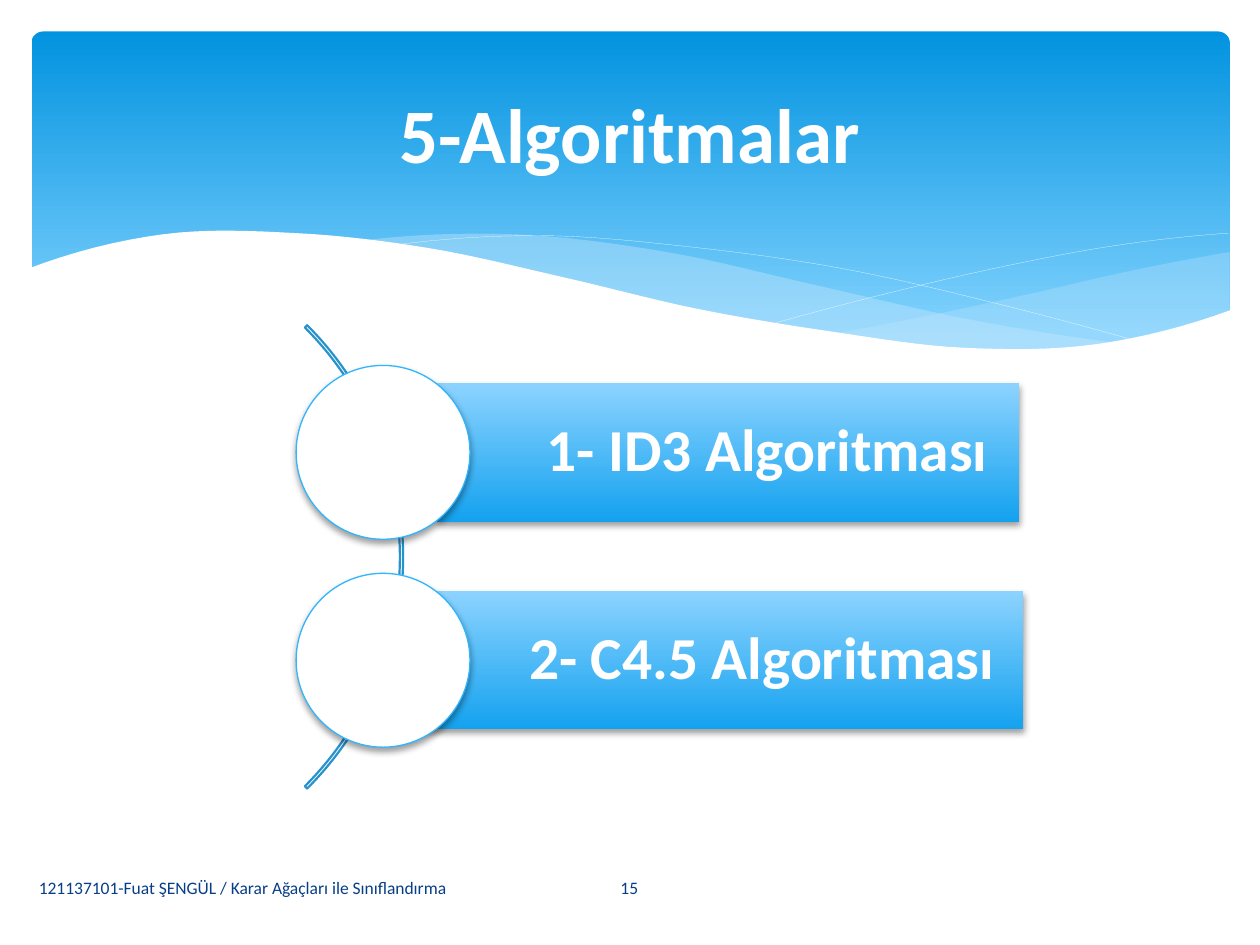
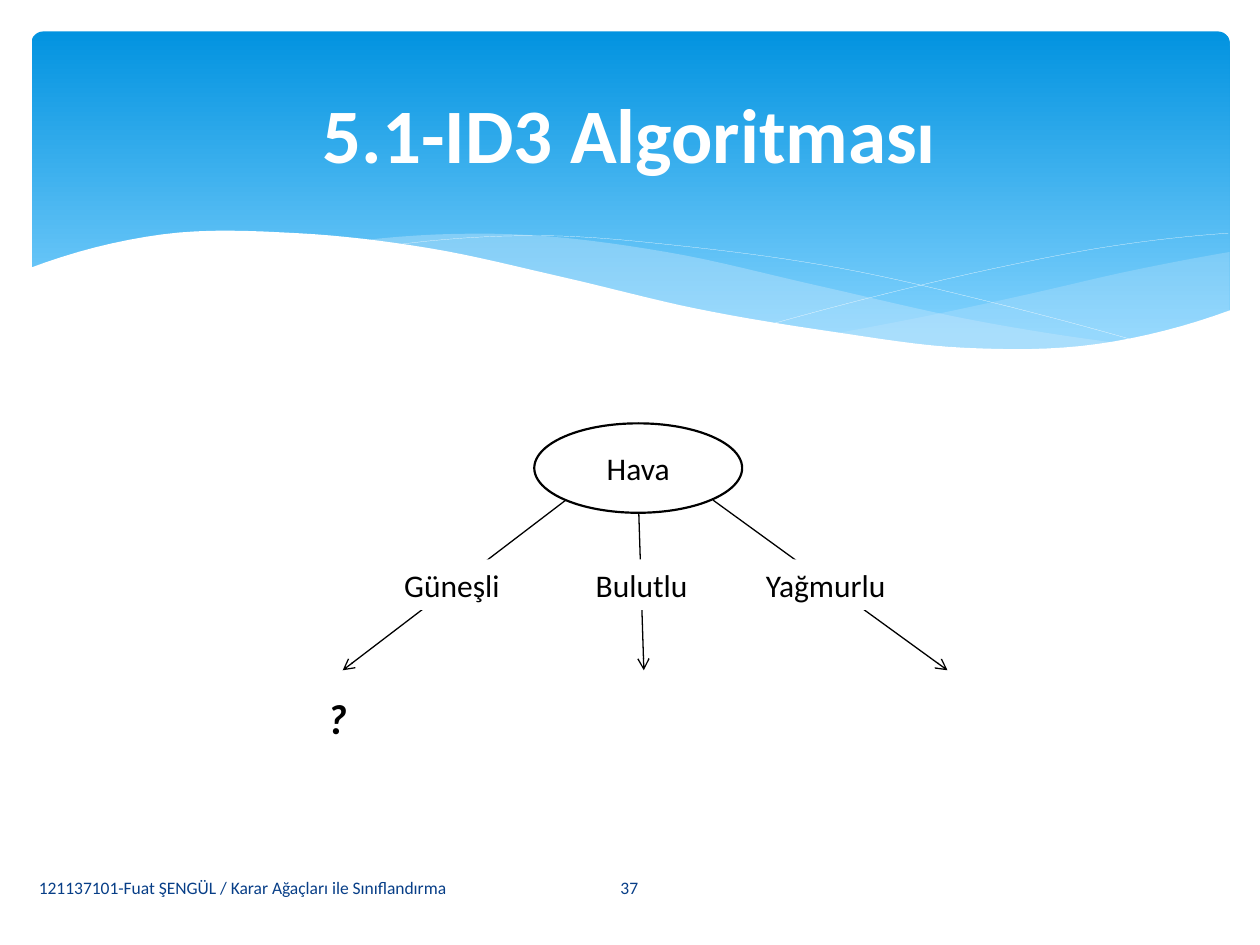
"""Build two slides on decision tree algorithms under a shared wave banner."""
from lxml import etree
from pptx import Presentation
from pptx.dml.color import RGBColor
from pptx.enum.shapes import MSO_CONNECTOR, MSO_SHAPE
from pptx.enum.text import MSO_ANCHOR, PP_ALIGN
from pptx.oxml.ns import qn
from pptx.util import Inches, Pt

RECT, ROUND_RECT = MSO_SHAPE.RECTANGLE, MSO_SHAPE.ROUNDED_RECTANGLE
OVAL, ARC = MSO_SHAPE.OVAL, MSO_SHAPE.BLOCK_ARC
STRAIGHT = MSO_CONNECTOR.STRAIGHT
LEFT, CENTER = PP_ALIGN.LEFT, PP_ALIGN.CENTER
TOP, MIDDLE = MSO_ANCHOR.TOP, MSO_ANCHOR.MIDDLE

WHITE = RGBColor(0xFF, 0xFF, 0xFF)
BLACK = RGBColor(0x00, 0x00, 0x00)
NAVY = RGBColor(0x07, 0x3E, 0x87)
PALE_BLUE = RGBColor(0xC6, 0xE7, 0xFC)
ARC_BLUE = RGBColor(0x27, 0x92, 0xCB)
RING_BLUE = RGBColor(0x31, 0xB6, 0xFD)
BANNER_STOPS = ((0, RGBColor(0x02, 0x93, 0xE0)), (0.9, RGBColor(0x83, 0xD3, 0xFE)))
CARD_STOPS = ((0, RGBColor(0x8C, 0xD3, 0xFF)), (1, RGBColor(0x14, 0xA2, 0xEF)))
FONT = "Calibri"

FOOTER = "121137101-Fuat ŞENGÜL / Karar Ağaçları ile Sınıflandırma"

ALGORITHMS_TITLE, ALGORITHMS_PAGE = "5-Algoritmalar", "15"
ALGORITHMS = [("1- ID3 Algoritması", 3.47, 4.62), ("2- C4.5 Algoritması", 3.33, 4.79)]
CARD_TOP, CARD_HEIGHT, CARD_STEP = 3.04, 1.1, 1.65
CIRCLE_LEFT, CIRCLE_SIZE = 2.35, 1.38
ARC_START, ARC_END, ARC_THICKNESS = 189, 27, 0.005

TREE_TITLE, TREE_PAGE = "5.1-ID3 Algoritması", "37"
ROOT, UNKNOWN = "Hava", "?"
BRANCHES = [
    ("Güneşli", (3.11, 0.98), (4.49, 3.97), (2.72, 5.32)),
    ("Bulutlu", (4.63, 0.96), (5.07, 4.07), (5.11, 5.32)),
    ("Yağmurlu", (5.98, 1.22), (5.66, 3.97), (7.52, 5.32)),
]
LABEL_TOP, LABEL_HEIGHT = 4.44, 0.4

CURVE_STEPS = 8
VEILS = [
    {"span": (6.61, 9.76), "alpha": 29,
     "upper": (2.65, 2.5, 2.33, 2.15, 2), "lower": (2.65, 2.74, 2.78, 2.7, 2.47)},
    {"span": (2.86, 8.93), "alpha": 40,
     "upper": (1.91, 1.86, 2, 2.27, 2.54, 2.73), "lower": (1.91, 2.12, 2.4, 2.64, 2.77, 2.73)},
]
STRANDS = [
    {"span": (3.09, 9.07), "heights": (1.95, 1.87, 1.96, 2.13, 2.4, 2.72)},
    {"span": (6.13, 9.75), "heights": (2.57, 2.33, 2.12, 1.95, 1.85)},
]
STRAND_WIDTH = 0.1
PAGE_EDGE = {"span": (0.23, 9.77), "bottom": 3.29,
             "heights": (2.13, 1.86, 1.85, 1.97, 2.2, 2.45, 2.63, 2.76, 2.73, 2.46)}


def curve(span, heights):
    """Return points of a Catmull-Rom curve through heights at equal gaps over span."""
    first, last = span
    gap = (last - first) / (len(heights) - 1)
    before = 3 * heights[0] - 3 * heights[1] + heights[2]
    after = 3 * heights[-1] - 3 * heights[-2] + heights[-3]
    knots = [before, *heights, after]
    points = []
    for index in range(len(heights) - 1):
        a, b, c, d = knots[index:index + 4]
        for step in range(CURVE_STEPS):
            t = step / CURVE_STEPS
            bend = (c - a) * t + (2*a - 5*b + 4*c - d) * t**2 + (3*b - a - 3*c + d) * t**3
            points.append((first + (index + t) * gap, b + bend / 2))
    return points + [(last, heights[-1])]


def paint(shape, fill=None, stops=None, line=None, width=0.75):
    """Give a shape a flat, gradient or empty fill, an outline and no shadow."""
    shape.shadow.inherit = False
    if stops:
        shape.fill.gradient()
        shape.fill.gradient_angle = 270
        for stop, (position, color) in zip(shape.fill.gradient_stops, stops):
            stop.position = position
            stop.color.rgb = color
    elif fill is not None:
        shape.fill.solid()
        shape.fill.fore_color.rgb = fill
    else:
        shape.fill.background()
    if line is not None:
        shape.line.color.rgb = line
        shape.line.width = Pt(width)
    else:
        shape.line.fill.background()


def add_figure(slide, preset, box, **look):
    """Add a preset shape at a box in inches."""
    figure = slide.shapes.add_shape(preset, *map(Inches, box))
    paint(figure, **look)
    return figure


def add_outline(slide, points, closed=True, **look):
    """Add a freeform through points in inches."""
    corners = [(Inches(x), Inches(y)) for x, y in points]
    builder = slide.shapes.build_freeform(*corners[0])
    builder.add_line_segments(corners[1:], close=closed)
    outline = builder.convert_to_shape()
    paint(outline, **look)
    return outline


def set_alpha(color, percent):
    """Make a colour element translucent."""
    etree.SubElement(color, qn("a:alpha"), val=str(percent * 1000))


def drop_shadow(shape):
    """Cast a soft shadow straight down."""
    effects = shape._element.spPr.find(qn("a:effectLst"))
    shadow = etree.SubElement(effects, qn("a:outerShdw"), blurRad=str(Pt(4)),
                              dist=str(Pt(2)), dir="5400000", rotWithShape="0")
    set_alpha(etree.SubElement(shadow, qn("a:srgbClr"), val=str(BLACK)), 38)


def write(shape, text, size, color, align=LEFT, anchor=MIDDLE, bold=False, wrap=True):
    """Set the single paragraph of a shape and return it."""
    frame = shape.text_frame
    frame.word_wrap = wrap
    frame.vertical_anchor = anchor
    paragraph = frame.paragraphs[0]
    paragraph.text = text
    paragraph.alignment = align
    font = paragraph.font
    font.name, font.size, font.bold = FONT, Pt(size), bold
    font.color.rgb = color
    return paragraph


def add_text(slide, box, *content, **style):
    """Add a text box at a box in inches and return its paragraph."""
    return write(slide.shapes.add_textbox(*map(Inches, box)), *content, **style)


def add_arrow(slide, start, end):
    """Draw a thin black arrow between two points in inches."""
    arrow = slide.shapes.add_connector(STRAIGHT, *map(Inches, start + end))
    arrow.line.color.rgb = BLACK
    arrow.line.width = Pt(0.75)
    etree.SubElement(arrow.line._get_or_add_ln(), qn("a:tailEnd"), type="arrow")
    etree.SubElement(arrow._element.spPr, qn("a:effectLst"))


def add_banner(slide):
    """Draw the gradient banner, its veils and strands, and the white page edge."""
    banner = add_figure(slide, ROUND_RECT, (0.25, 0.25, 9.51, 2.7), stops=BANNER_STOPS)
    banner.adjustments[0] = 0.034
    for veil in VEILS:
        upper, lower = (curve(veil["span"], veil[side]) for side in ("upper", "lower"))
        sheet = add_outline(slide, upper + lower[::-1], fill=PALE_BLUE)
        set_alpha(sheet._element.spPr.find(qn("a:solidFill")).find(qn("a:srgbClr")), veil["alpha"])
    for strand in STRANDS:
        add_outline(slide, curve(**strand), closed=False, line=WHITE, width=STRAND_WIDTH)
    left, right = PAGE_EDGE["span"]
    bottom = PAGE_EDGE["bottom"]
    crest = curve(PAGE_EDGE["span"], PAGE_EDGE["heights"])
    add_outline(slide, crest + [(right, bottom), (left, bottom)], fill=WHITE)


def add_base(deck, title, page):
    """Add a slide with the banner, footer, page number and title."""
    slide = deck.slides.add_slide(deck.slide_layouts[6])
    add_banner(slide)
    add_text(slide, (0.21, 6.84, 4.14, 0.4), FOOTER, 10, NAVY)
    add_text(slide, (4.36, 6.84, 1.27, 0.4), page, 10, NAVY, align=CENTER)
    add_text(slide, (0.5, 0.37, 9, 1.37), title, 44, WHITE, align=CENTER, bold=True)
    return slide


def build_algorithms(deck):
    """List the algorithms as cards along an arc."""
    slide = add_base(deck, ALGORITHMS_TITLE, ALGORITHMS_PAGE)
    arc = add_figure(slide, ARC, (-2, 1.82, 5.2, 5.2), line=ARC_BLUE, width=1.25)
    for index, value in enumerate((ARC_START, ARC_END, ARC_THICKNESS)):
        arc.adjustments[index] = value
    for index, (algorithm, left, width) in enumerate(ALGORITHMS):
        top = CARD_TOP + index * CARD_STEP
        card = add_figure(slide, RECT, (left, top, width, CARD_HEIGHT), stops=CARD_STOPS)
        drop_shadow(card)
        card.text_frame.margin_left = Inches(0.87)
        card.text_frame.margin_right = Inches(0.09)
        write(card, algorithm, 34, WHITE, bold=True).line_spacing = 0.9
        circle_top = top + (CARD_HEIGHT - CIRCLE_SIZE) / 2
        circle = add_figure(slide, OVAL, (CIRCLE_LEFT, circle_top, CIRCLE_SIZE, CIRCLE_SIZE),
                            fill=WHITE, line=RING_BLUE)
        drop_shadow(circle)


def build_tree(deck):
    """Draw the first split of the weather tree."""
    slide = add_base(deck, TREE_TITLE, TREE_PAGE)
    root = add_figure(slide, OVAL, (4.24, 3.36, 1.65, 0.71), line=BLACK, width=1.25)
    write(root, ROOT, 18, BLACK, align=CENTER)
    for branch, (left, width), start, end in BRANCHES:
        add_arrow(slide, start, end)
        label = add_figure(slide, RECT, (left, LABEL_TOP, width, LABEL_HEIGHT), fill=WHITE)
        write(label, branch, 18, BLACK, anchor=TOP, wrap=False)
    unknown = add_text(slide, (2.5, 5.45, 0.32, 0.5), UNKNOWN, 24, BLACK,
                       anchor=TOP, bold=True, wrap=False)
    unknown.font.italic = True


def main():
    """Build and save the deck."""
    deck = Presentation()
    deck.slide_width, deck.slide_height = Inches(10), Inches(7.5)
    build_algorithms(deck)
    build_tree(deck)
    deck.save("out.pptx")


if __name__ == "__main__":
    main()
